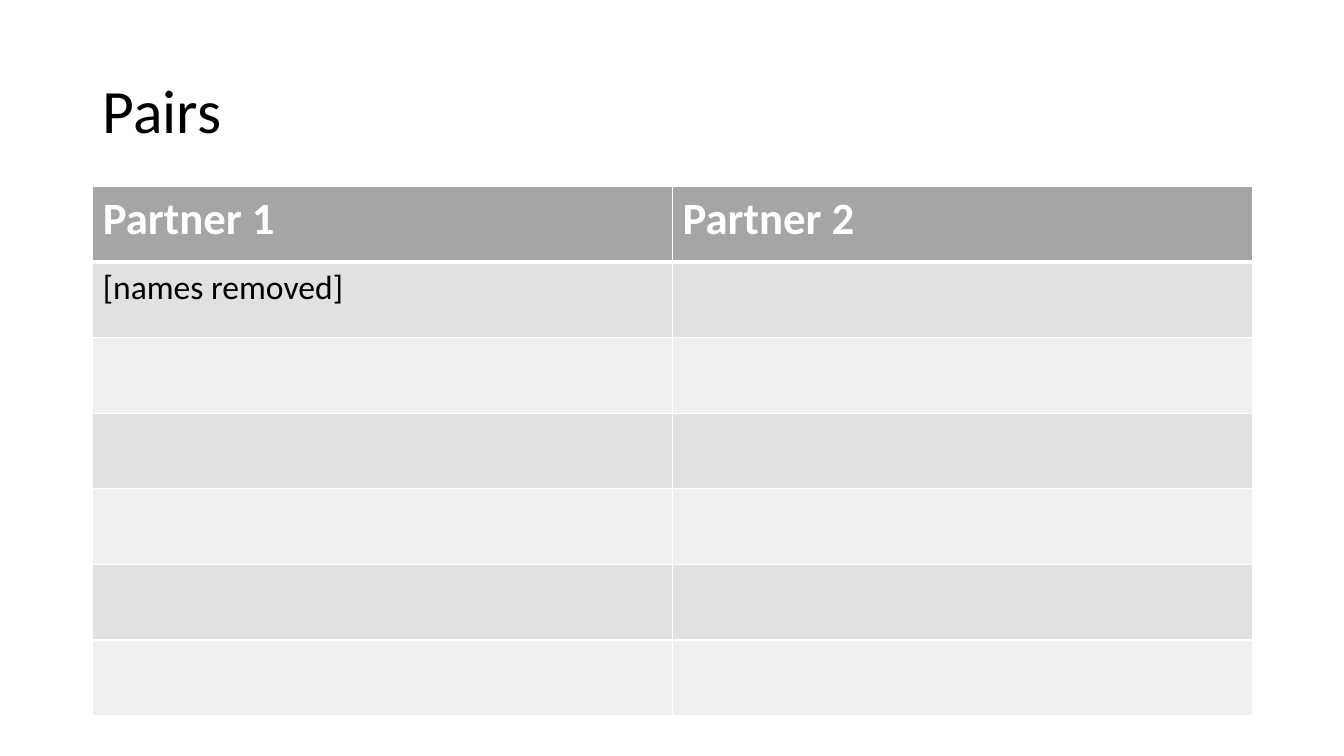
from lxml import etree
from pptx import Presentation
from pptx.dml.color import RGBColor
from pptx.enum.text import MSO_ANCHOR, MSO_AUTO_SIZE, PP_ALIGN
from pptx.oxml.ns import qn
from pptx.util import Inches, Pt

LEFT = PP_ALIGN.LEFT
MIDDLE = MSO_ANCHOR.MIDDLE
NO_AUTOFIT = MSO_AUTO_SIZE.NONE

THEME = {
    "font": "Calibri",
    "title": {"size": 44, "color": "000000", "bold": False},
    "header": {"size": 32, "color": "FFFFFF", "bold": True},
    "body": {"size": 24, "color": "000000", "bold": False},
    "header_fill": "A5A5A5",
    "band_fills": ["E1E1E1", "F0F0F0"],
    "border": "FFFFFF",
    "thin": 1,
    "thick": 3,
}

ROWS = [["Partner 1", "Partner 2"], ["[names removed]", ""]] + [["", ""]] * 5


def add_text(p, text, style):
    r = p.add_run()
    r.text = text
    font = {"name": THEME["font"], "size": Pt(style["size"]), "bold": style["bold"]}
    for key, value in font.items():
        setattr(r.font, key, value)
    r.font.color.rgb = RGBColor.from_string(style["color"])


def add_border(cell, side, width):
    ln = etree.SubElement(cell._tc.get_or_add_tcPr(), qn(f"a:ln{side}"), w=str(Pt(width)))
    fill = etree.SubElement(ln, qn("a:solidFill"))
    etree.SubElement(fill, qn("a:srgbClr"), val=THEME["border"])


prs = Presentation()
prs.slide_width, prs.slide_height = Inches(13.33), Inches(7.5)
s = prs.slides.add_slide(prs.slide_layouts[5])

# Title
title = s.shapes.title
place = {"left": 0.92, "top": 0.4, "width": 11.5, "height": 1.45}
for key, value in place.items():
    setattr(title, key, Inches(value))
tf = title.text_frame
frame = {"word_wrap": True, "auto_size": NO_AUTOFIT, "vertical_anchor": MIDDLE}
for key, value in frame.items():
    setattr(tf, key, value)
p = tf.paragraphs[0]
p.alignment = LEFT
p.line_spacing = 0.9
add_text(p, "Pairs", THEME["title"])

# Table of pairs
table = s.shapes.add_table(len(ROWS), 2, Inches(0.92), Inches(1.85),
                           Inches(11.5), Inches(5.25)).table
for col in table.columns:
    col.width = Inches(5.75)
for i, texts in enumerate(ROWS):
    table.rows[i].height = Inches(0.75)
    color = THEME["band_fills"][(i - 1) % 2] if i else THEME["header_fill"]
    # The rule below the header is thicker than the others
    widths = {
        "L": THEME["thin"],
        "R": THEME["thin"],
        "T": THEME["thick"] if i == 1 else THEME["thin"],
        "B": THEME["thick"] if i == 0 else THEME["thin"],
    }
    for j, text in enumerate(texts):
        cell = table.cell(i, j)
        for side, width in widths.items():
            add_border(cell, side, width)
        cell.fill.solid()
        cell.fill.fore_color.rgb = RGBColor.from_string(color)
        if text:
            add_text(cell.text_frame.paragraphs[0], text, THEME["body" if i else "header"])

prs.save("out.pptx")
